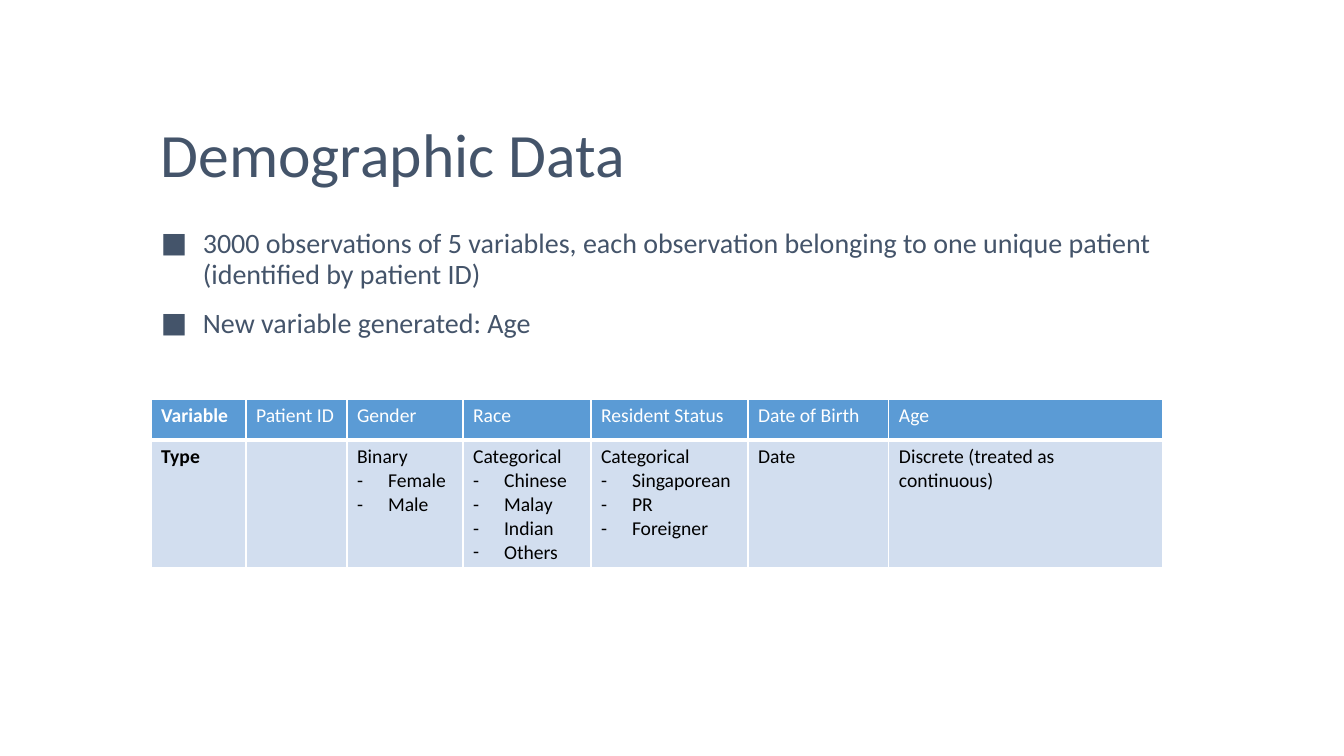
from lxml.etree import SubElement
from pptx import Presentation
from pptx.dml.color import RGBColor
from pptx.enum.text import MSO_ANCHOR
from pptx.oxml.ns import qn
from pptx.util import Emu, Pt

TITLE = "Demographic Data"
POINTS = [
    "3000 observations of 5 variables, each observation belonging to one "
    "unique patient (identified by patient ID)",
    "New variable generated: Age",
]
# Heading, type, categories, column width in px
VARIABLES = [
    ("Variable", "Type", [], 95),
    ("Patient ID", "", [], 101),
    ("Gender", "Binary", ["Female", "Male"], 116),
    ("Race", "Categorical", ["Chinese", "Malay", "Indian", "Others"], 128),
    ("Resident Status", "Categorical", ["Singaporean", "PR", "Foreigner"], 157),
    ("Date of Birth", "Date", [], 141),
    ("Age", "Discrete (treated as continuous)", [], 274),
]

FONT = "Calibri"
SLATE = RGBColor(0x44, 0x54, 0x6A)
HEADER_BLUE = RGBColor(0x5B, 0x9B, 0xD5)
PALE_BLUE = RGBColor(0xD2, 0xDE, 0xEF)
WHITE = RGBColor(0xFF, 0xFF, 0xFF)
BLACK = RGBColor(0, 0, 0)

LEFT, TEXT_WIDTH = 151, 1058
TITLE_TOP, TITLE_HEIGHT = 76, 163
POINTS_TOP, POINTS_HEIGHT = 223, 395
TABLE_TOP, ROW_HEIGHTS = 399, (41, 127)
POINT_INDENT, CATEGORY_INDENT = 42, 31


def px(length):
    return Emu(round(length * 914400 / 100.8))


def format_text(paragraph, size, color, bold=False):
    for run in paragraph.runs:
        run.font.name = FONT
        run.font.size = Pt(size)
        run.font.color.rgb = color
        run.font.bold = bold


def add_bullet(paragraph, mark, indent):
    properties = paragraph._p.get_or_add_pPr()
    properties.set("marL", str(px(indent)))
    properties.set("indent", str(-px(indent)))
    SubElement(properties, qn("a:buFont"), typeface=FONT)
    SubElement(properties, qn("a:buChar"), char=mark)


def add_text(slide, top, height, lines, size, spacing):
    frame = slide.shapes.add_textbox(
        px(LEFT), px(top), px(TEXT_WIDTH), px(height)).text_frame
    frame.word_wrap = True
    frame.text = "\n".join(lines)
    for paragraph in frame.paragraphs:
        paragraph.line_spacing = spacing
        format_text(paragraph, size, SLATE)
    return frame


def add_borders(cell, top, bottom):
    """Draw white cell edges; top and bottom are widths in points."""
    properties = cell._tc.get_or_add_tcPr()
    for edge, width in (("L", 1), ("R", 1), ("T", top), ("B", bottom)):
        line = SubElement(properties, qn(f"a:ln{edge}"), w=str(Pt(width)))
        fill = SubElement(line, qn("a:solidFill"))
        SubElement(fill, qn("a:srgbClr"), val=str(WHITE))


def fill_cell(cell, lines, background, color, bold, top, bottom):
    add_borders(cell, top, bottom)
    cell.fill.solid()
    cell.fill.fore_color.rgb = background
    cell.text = "\n".join(lines)
    for index, paragraph in enumerate(cell.text_frame.paragraphs):
        format_text(paragraph, 14, color, bold)
        if index:
            add_bullet(paragraph, "-", CATEGORY_INDENT)


def add_variable_table(slide):
    width = sum(variable[3] for variable in VARIABLES)
    table = slide.shapes.add_table(
        len(ROW_HEIGHTS), len(VARIABLES), px(LEFT), px(TABLE_TOP),
        px(width), px(sum(ROW_HEIGHTS))).table
    for row, height in zip(table.rows, ROW_HEIGHTS):
        row.height = px(height)
    for column, (heading, kind, categories, width) in enumerate(VARIABLES):
        table.columns[column].width = px(width)
        bold = column == 0
        fill_cell(table.cell(0, column), [heading],
                  HEADER_BLUE, WHITE, bold, 1, 3)
        fill_cell(table.cell(1, column), [kind, *categories],
                  PALE_BLUE, BLACK, bold, 3, 1)


def main():
    deck = Presentation()
    deck.slide_width, deck.slide_height = px(1344), px(756)
    slide = deck.slides.add_slide(deck.slide_layouts[6])

    title = add_text(slide, TITLE_TOP, TITLE_HEIGHT, [TITLE], 44, 0.89)
    title.vertical_anchor = MSO_ANCHOR.MIDDLE

    points = add_text(slide, POINTS_TOP, POINTS_HEIGHT, POINTS, 20, 0.94)
    for paragraph in points.paragraphs:
        paragraph.space_before = Pt(10)
        paragraph.space_after = Pt(2)
        add_bullet(paragraph, "■", POINT_INDENT)

    add_variable_table(slide)
    deck.save("out.pptx")


if __name__ == "__main__":
    main()
